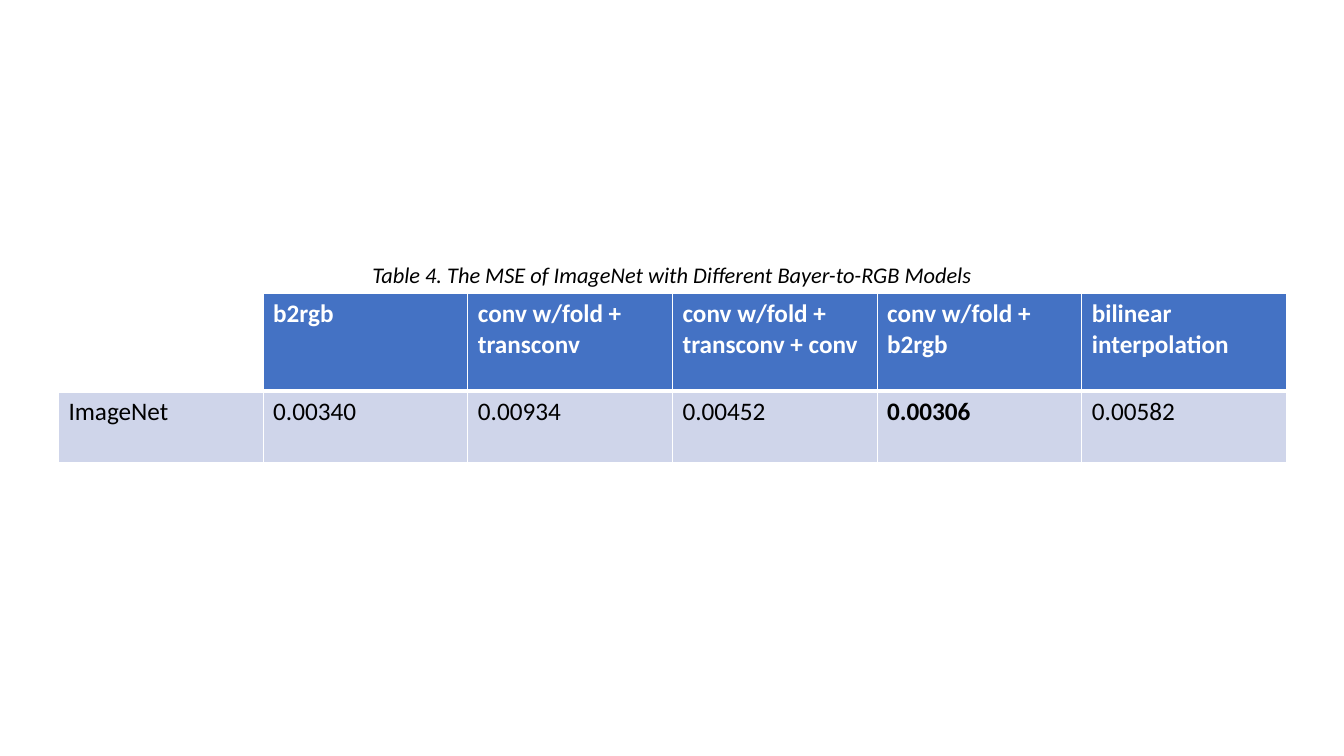
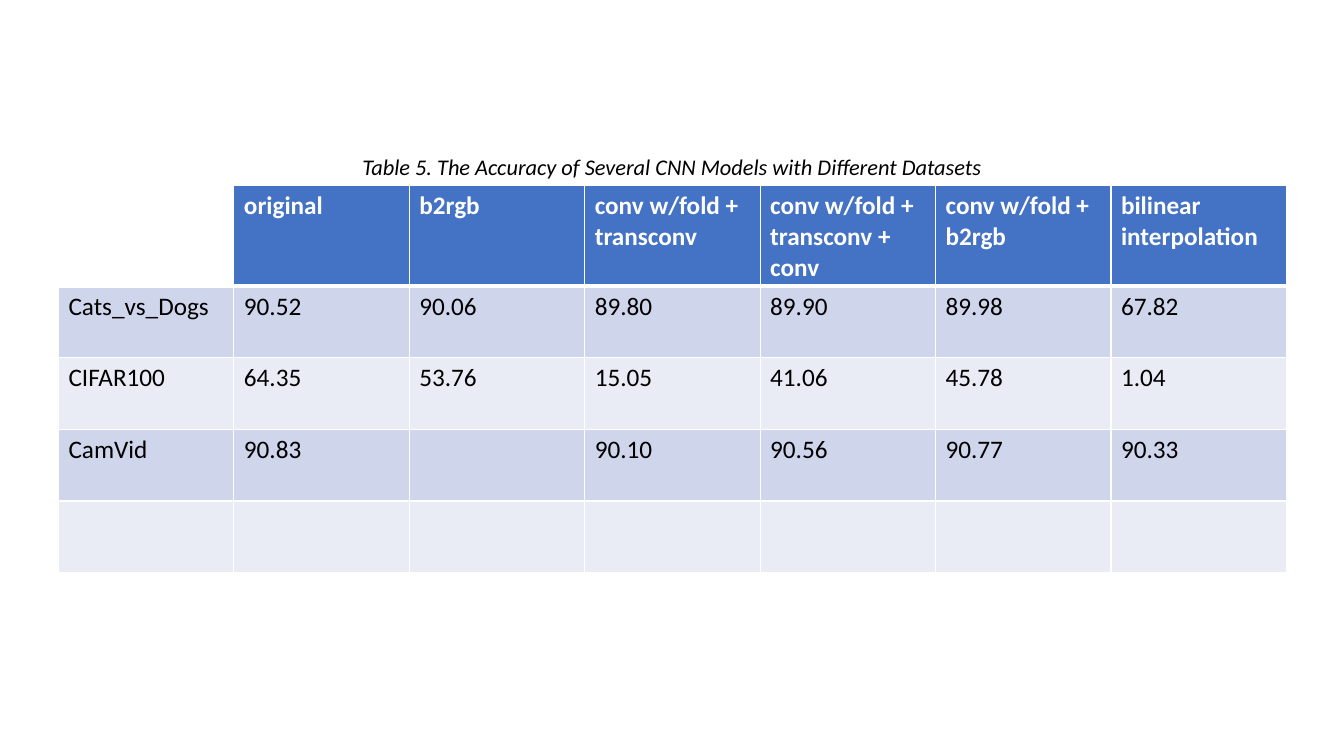
from lxml.etree import SubElement
from pptx import Presentation
from pptx.dml.color import RGBColor
from pptx.enum.text import MSO_AUTO_SIZE, PP_ALIGN
from pptx.oxml.ns import qn
from pptx.util import Inches, Pt

WHITE = "FFFFFF"
BLACK = "000000"
HEADER = "4472C4"
BANDS = ["CFD5EA", "E9EBF5"]
TABLE_LEFT, TABLE_WIDTH = 0.58, 12.18
HEADER_HEIGHT, ROW_HEIGHT = 0.97, 0.71
CAPTION_WIDTH, CAPTION_HEIGHT = 6.43, 0.37
SLIDE_WIDTH = 13.33


def write(frame, text, size=18, color=BLACK, bold=False, italic=False, align=PP_ALIGN.LEFT):
    para = frame.paragraphs[0]
    para.alignment = align
    span = para.add_run()
    span.text = text
    span.font.name = "Calibri"
    span.font.size = Pt(size)
    span.font.bold = bold
    span.font.italic = italic
    span.font.color.rgb = RGBColor.from_string(color)


def draw_borders(cell, bottom):
    properties = cell._tc.get_or_add_tcPr()
    for side, width in (("L", 1), ("R", 1), ("T", 1), ("B", bottom)):
        line = SubElement(properties, qn(f"a:ln{side}"), w=str(Pt(width)))
        fill = SubElement(line, qn("a:solidFill"))
        SubElement(fill, qn("a:srgbClr"), val=WHITE)


models = ["b2rgb", "conv w/fold + transconv", "conv w/fold + transconv + conv",
          "conv w/fold + b2rgb", "bilinear interpolation"]
slides = [
    ("Table 4. The MSE of ImageNet with Different Bayer-to-RGB Models", 2.91, [
        ["", *models],
        ["ImageNet", "0.00340", "0.00934", "0.00452", "0.00306", "0.00582"],
    ]),
    ("Table 5. The Accuracy of Several CNN Models with Different Datasets", 1.84, [
        ["", "original", *models],
        ["Cats_vs_Dogs", "90.52", "90.06", "89.80", "89.90", "89.98", "67.82"],
        ["CIFAR100", "64.35", "53.76", "15.05", "41.06", "45.78", "1.04"],
        ["CamVid", "90.83", "", "90.10", "90.56", "90.77", "90.33"],
        [""] * 7,
    ]),
]
best_values = {"0.00306"}

deck = Presentation()
deck.slide_width = Inches(SLIDE_WIDTH)
deck.slide_height = Inches(7.5)

for caption, top, rows in slides:
    page = deck.slides.add_slide(deck.slide_layouts[6])
    height = HEADER_HEIGHT + ROW_HEIGHT * (len(rows) - 1)
    table = page.shapes.add_table(len(rows), len(rows[0]), Inches(TABLE_LEFT), Inches(top),
                                  Inches(TABLE_WIDTH), Inches(height)).table
    table.first_row = False
    table.horz_banding = False
    for row_index, values in enumerate(rows):
        is_header = row_index == 0
        table.rows[row_index].height = Inches(HEADER_HEIGHT if is_header else ROW_HEIGHT)
        for column_index, text in enumerate(values):
            cell = table.cell(row_index, column_index)
            draw_borders(cell, bottom=3 if is_header else 1)
            if is_header and not text:
                cell.fill.background()
            else:
                cell.fill.solid()
                color = HEADER if is_header else BANDS[(row_index - 1) % 2]
                cell.fill.fore_color.rgb = RGBColor.from_string(color)
            if text:
                write(cell.text_frame, text, color=WHITE if is_header else BLACK,
                      bold=is_header or text in best_values)

    box = page.shapes.add_textbox(Inches((SLIDE_WIDTH - CAPTION_WIDTH) / 2),
                                  Inches(top - CAPTION_HEIGHT),
                                  Inches(CAPTION_WIDTH), Inches(CAPTION_HEIGHT))
    box.text_frame.word_wrap = False
    box.text_frame.auto_size = MSO_AUTO_SIZE.SHAPE_TO_FIT_TEXT
    write(box.text_frame, caption, size=16, italic=True, align=PP_ALIGN.CENTER)

deck.save("out.pptx")
